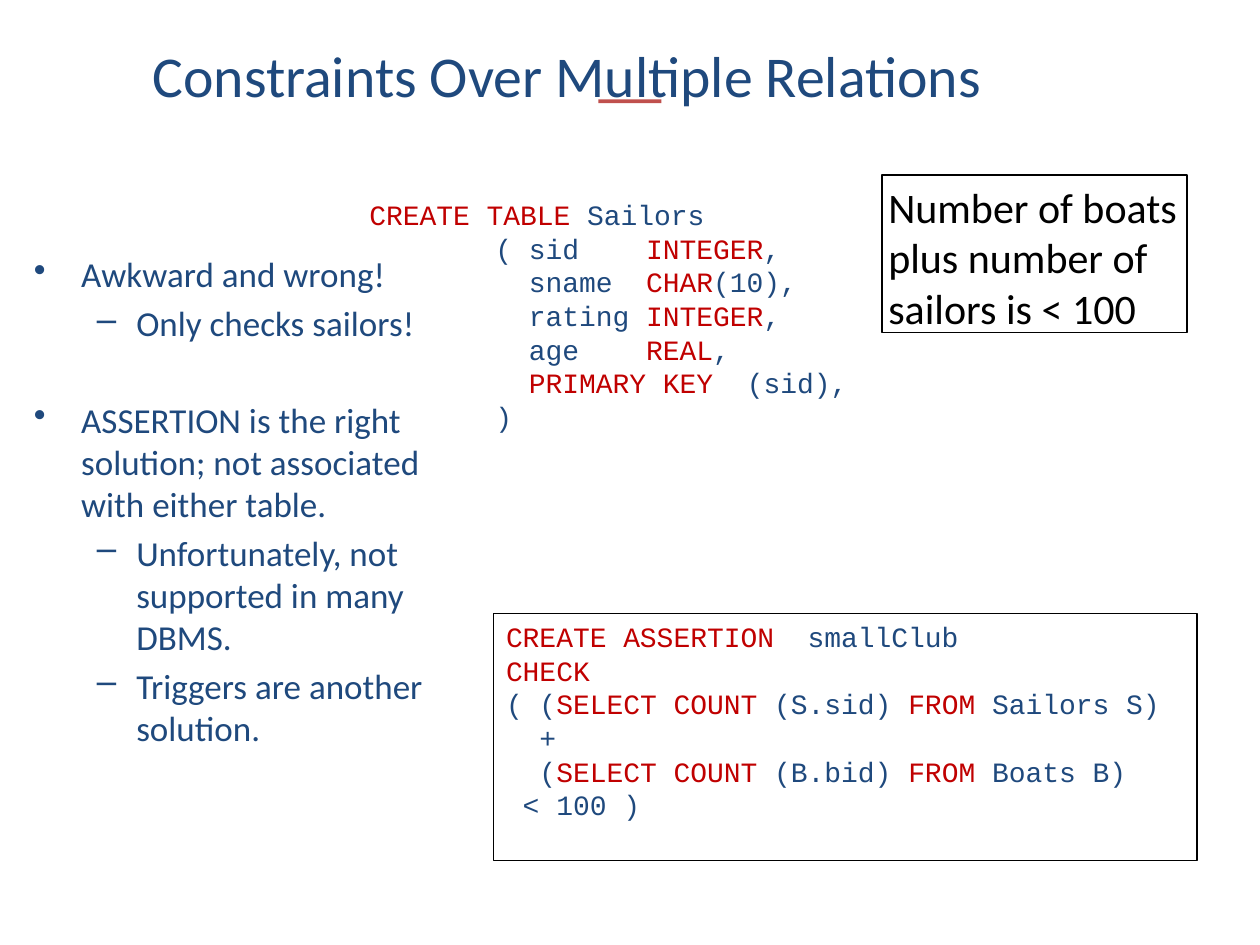
import dataclasses
import pptx
import pptx.util
import pptx.dml.color
import pptx.enum.shapes
import pptx.enum.text
import pptx.oxml.ns
import lxml.etree

Pt = pptx.util.Pt
RGB = pptx.dml.color.RGBColor.from_string
RECT = pptx.enum.shapes.MSO_SHAPE.RECTANGLE
ALIGN = pptx.enum.text.PP_ALIGN
ANCHOR = pptx.enum.text.MSO_ANCHOR


@dataclasses.dataclass(frozen=True)
class Theme:
    ink: str = "1F497D"
    keyword: str = "C00000"
    accent: str = "C0504D"
    black: str = "000000"
    sans: str = "Calibri"
    mono: str = "Courier New"
    title: int = 33
    note: int = 24
    body: int = 20
    code: int = 16
    inset: float = 3.6


T = Theme()

TABLE_CODE = [
    "*CREATE TABLE* Sailors",
    "( sid    *INTEGER*,",
    "  sname  *CHAR*(10),",
    "  rating *INTEGER*,",
    "  age    *REAL*,",
    "  *PRIMARY KEY*  (sid),",
    ")",
]
ASSERTION_CODE = [
    "*CREATE ASSERTION*  smallClub",
    "*CHECK*",
    "( (*SELECT COUNT* (S.sid) *FROM* Sailors S)",
    "  +",
    "  (*SELECT COUNT* (B.bid) *FROM* Boats B)",
    " < 100 )",
]
POINTS = [
    (0, 4, "Awkward and wrong!"),
    (1, 4, "Only checks sailors!"),
    (0, 31, "ASSERTION is the right solution; not associated with either table."),
    (1, 4, "Unfortunately, not supported in many DBMS."),
    (1, 4, "Triggers are another solution."),
]
LEVELS = [("•", 27, -27), ("–", 58.5, -22.5)]


def add_text(tf, text, size=T.body, font=T.sans, color=T.ink, align=ALIGN.LEFT,
             before=0, level=0, bullet=None, margin=0, indent=0):
    p = tf.paragraphs[0]
    if p.runs:
        p = tf.add_paragraph()
    p.alignment = align
    p.space_before = Pt(before)
    p.level = level
    pPr = p._p.get_or_add_pPr()
    pPr.set("marL", str(Pt(margin)))
    pPr.set("indent", str(Pt(indent)))
    if bullet:
        bu = lxml.etree.SubElement(pPr, pptx.oxml.ns.qn("a:buChar"))
        bu.set("char", bullet)
    for i, part in enumerate(text.split("*")):
        if part:
            r = p.add_run()
            r.text = part
            r.font.size = Pt(size)
            r.font.name = font
            r.font.color.rgb = RGB(T.keyword if i % 2 else color)


def set_frame(tf, wrap=True, anchor=ANCHOR.TOP):
    tf.word_wrap = wrap
    tf.vertical_anchor = anchor
    tf.margin_left = tf.margin_right = Pt(T.inset)
    tf.margin_top = tf.margin_bottom = Pt(T.inset)
    return tf


def add_frame(shapes, box):
    return set_frame(shapes.add_textbox(*map(Pt, box)).text_frame)


def add_rect(shapes, box, fill=None, line=None, width=1):
    sp = shapes.add_shape(RECT, *map(Pt, box))
    sp.shadow.inherit = False
    if fill:
        sp.fill.solid()
        sp.fill.fore_color.rgb = RGB(fill)
    else:
        sp.fill.background()
    if line:
        sp.line.color.rgb = RGB(line)
        sp.line.width = Pt(width)
    else:
        sp.line.fill.background()
    return sp


def add_title(s, box, text):
    sp = s.shapes.title
    sp.left, sp.top, sp.width, sp.height = map(Pt, box)
    tf = set_frame(sp.text_frame, anchor=ANCHOR.MIDDLE)
    add_text(tf, text, size=T.title, align=ALIGN.CENTER)
    x, y, w, h = box
    add_rect(s.shapes, (x + w / 2 + 18, y + 34.5, 36, 2.2), fill=T.accent)


def add_table_code(s, box, lines):
    tf = add_frame(s.shapes, box)
    for i, line in enumerate(lines):
        add_text(tf, line, size=T.code, font=T.mono, margin=72 if i else 0)


def add_points(s, box, points):
    tf = add_frame(s.shapes, box)
    for level, before, text in points:
        bullet, margin, indent = LEVELS[level]
        add_text(tf, text, before=before, level=level,
                 bullet=bullet, margin=margin, indent=indent)


def add_assertion(s, box, lines):
    x, y, w, h = box
    group = s.shapes.add_group_shape()
    add_rect(group.shapes, box, line=T.black, width=0.75)
    tf = add_frame(group.shapes, (x + T.inset, y, w - 2 * T.inset, h - 20))
    for line in lines:
        add_text(tf, line, size=T.code, font=T.mono)


def add_note(s, box, lines):
    sp = add_rect(s.shapes, box, line=T.black)
    tf = set_frame(sp.text_frame, wrap=False)
    for line in lines:
        add_text(tf, line, size=T.note, color=T.black)


def main():
    prs = pptx.Presentation()
    prs.slide_width, prs.slide_height = Pt(720), Pt(540)
    s = prs.slides.add_slide(prs.slide_layouts[5])
    add_title(s, (0, 22.3, 648, 41), "Constraints Over Multiple Relations")
    add_table_code(s, (207.5, 109.5, 484.5, 159), TABLE_CODE)
    add_points(s, (15.8, 141, 232.5, 286), POINTS)
    add_assertion(s, (282, 350.6, 402, 141), ASSERTION_CODE)
    add_note(s, (504, 100.1, 174.2, 90),
             ["Number of boats", "plus number of", "sailors is < 100"])
    prs.save("out.pptx")


if __name__ == "__main__":
    main()
